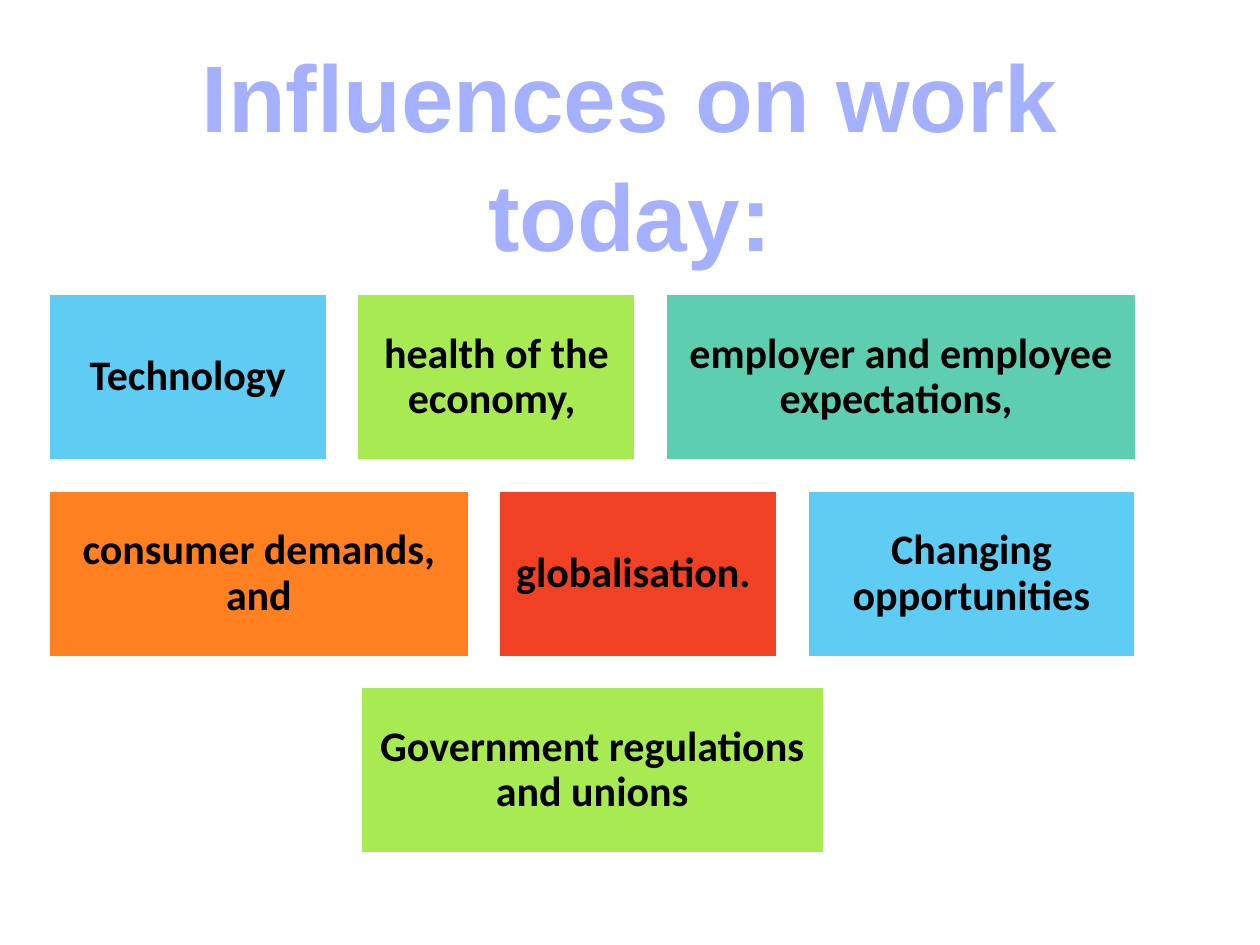
from pptx import Presentation
from pptx.dml.color import RGBColor
from pptx.enum.shapes import MSO_SHAPE
from pptx.enum.text import MSO_ANCHOR, MSO_AUTO_SIZE, PP_ALIGN
from pptx.util import Inches, Pt

COLORS = {
    "title": "A5B0FF",
    "text": "000000",
    "border": "FFFFFF",
    "blue": "5ECCF3",
    "lime": "A7EA52",
    "teal": "5DCEAF",
    "orange": "FF8021",
    "red": "F14124",
}

TITLE_LINES = ["Influences on work", "today:"]

# Each influence: text, box width in inches, fill
INFLUENCE_ROWS = [
    [
        ("Technology", 2.22, "blue"),
        ("health of the economy, ", 2.22, "lime"),
        ("employer and employee expectations, ", 3.74, "teal"),
    ],
    [
        ("consumer demands, and", 3.34, "orange"),
        ("globalisation. ", 2.22, "red"),
        ("Changing opportunities", 2.61, "blue"),
    ],
    [("Government regulations and unions", 3.69, "lime")],
]
ROWS_CENTER = 4.7
ROWS_TOP = 2.33
BOX_HEIGHT = 1.33
GAP = 0.23


def color(name):
    return RGBColor.from_string(COLORS[name])


def add_bold_run(paragraph, text, font_name, size, color_name):
    paragraph.alignment = PP_ALIGN.CENTER
    run = paragraph.add_run()
    run.text = text
    run.font.name = font_name
    run.font.size = Pt(size)
    run.font.bold = True
    run.font.color.rgb = color(color_name)


def fill_title(title):
    title.left, title.top = Inches(0.11), Inches(0.21)
    title.width, title.height = Inches(9.78), Inches(1.92)
    frame = title.text_frame
    frame.word_wrap = False
    frame.auto_size = MSO_AUTO_SIZE.SHAPE_TO_FIT_TEXT
    frame.vertical_anchor = MSO_ANCHOR.TOP
    for index, line in enumerate(TITLE_LINES):
        paragraph = frame.add_paragraph() if index else frame.paragraphs[0]
        paragraph.line_spacing = 1.05
        paragraph.space_before = Pt(0)
        add_bold_run(paragraph, line, "Arial", 54, "title")


def add_influence_box(slide, left, top, width, text, fill):
    box = slide.shapes.add_shape(
        MSO_SHAPE.RECTANGLE,
        Inches(left), Inches(top), Inches(width), Inches(BOX_HEIGHT),
    )
    box.shadow.inherit = False
    box.fill.solid()
    box.fill.fore_color.rgb = color(fill)
    box.line.color.rgb = color("border")
    box.line.width = Pt(2)
    frame = box.text_frame
    frame.word_wrap = True
    frame.vertical_anchor = MSO_ANCHOR.MIDDLE
    frame.margin_left = frame.margin_right = Inches(0.1)
    frame.margin_top = frame.margin_bottom = Inches(0.1)
    paragraph = frame.paragraphs[0]
    paragraph.line_spacing = 0.9
    add_bold_run(paragraph, text, "Calibri", 24, "text")


def add_centered_row(slide, row, top):
    row_width = sum(width for _, width, _ in row) + GAP * (len(row) - 1)
    left = ROWS_CENTER - row_width / 2
    for text, width, fill in row:
        add_influence_box(slide, left, top, width, text, fill)
        left += width + GAP


def main():
    presentation = Presentation()
    presentation.slide_width = Inches(10)
    presentation.slide_height = Inches(7.5)
    title_only = presentation.slide_layouts[5]
    slide = presentation.slides.add_slide(title_only)
    fill_title(slide.shapes.title)
    for index, row in enumerate(INFLUENCE_ROWS):
        add_centered_row(slide, row, ROWS_TOP + index * (BOX_HEIGHT + GAP))
    presentation.save("out.pptx")


if __name__ == "__main__":
    main()
